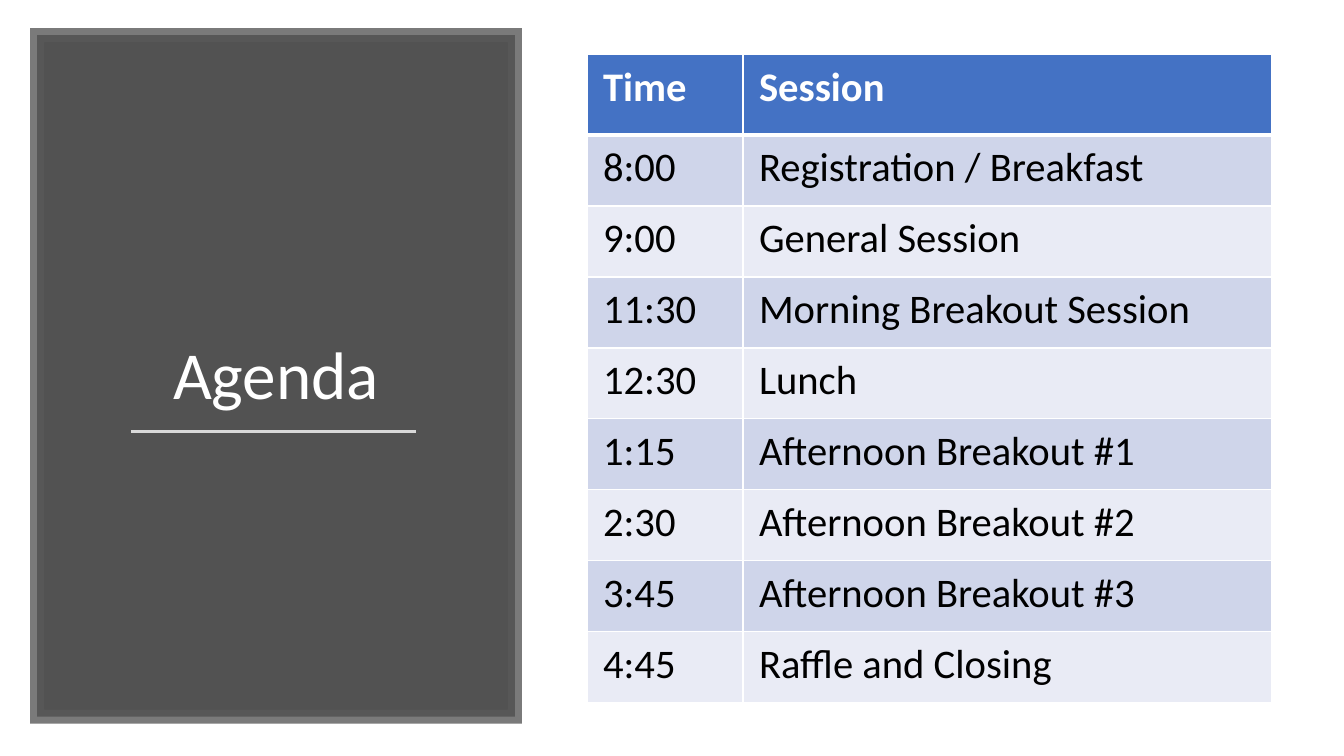
from lxml import etree
from pptx import Presentation
from pptx.dml.color import RGBColor
from pptx.enum.shapes import MSO_CONNECTOR, MSO_SHAPE
from pptx.enum.text import MSO_ANCHOR, MSO_AUTO_SIZE, PP_ALIGN
from pptx.oxml.ns import qn
from pptx.util import Pt

STRAIGHT = MSO_CONNECTOR.STRAIGHT
RECTANGLE = MSO_SHAPE.RECTANGLE
BOTTOM = MSO_ANCHOR.BOTTOM
NO_AUTOFIT = MSO_AUTO_SIZE.NONE
CENTER = PP_ALIGN.CENTER

TITLE_ONLY = 5
FONT = "Calibri"
WHITE = "FFFFFF"
HEADER_FILL = "4472C4"
BAND_FILLS = ("CFD5EA", "E9EBF5")
COLUMN_WIDTHS = (111.4, 377.4)
HEADER_HEIGHT = 57.4
ROW_HEIGHT = 50.7
AGENDA = [
    ("Time", "Session"),
    ("8:00", "Registration / Breakfast"),
    ("9:00", "General Session"),
    ("11:30", "Morning Breakout Session"),
    ("12:30", "Lunch"),
    ("1:15", "Afternoon Breakout #1"),
    ("2:30", "Afternoon Breakout #2"),
    ("3:45", "Afternoon Breakout #3"),
    ("4:45", "Raffle and Closing"),
]


def paint(color_format, color):
    color_format.rgb = RGBColor.from_string(color)


def fill_solid(fill, color):
    fill.solid()
    paint(fill.fore_color, color)


def set_opacity(properties, percent):
    color = properties.find(qn("a:solidFill")).find(qn("a:srgbClr"))
    etree.SubElement(color, qn("a:alpha")).set("val", str(percent * 1000))


def format_text(paragraph, size, color, bold=False):
    for span in paragraph.runs:
        span.font.name = FONT
        span.font.size = Pt(size)
        span.font.bold = bold
        paint(span.font.color, color)


def add_panel(page):
    panel = page.shapes.add_shape(RECTANGLE, Pt(26.6), Pt(25.2), Pt(341.3), Pt(486.7))
    panel.shadow.inherit = False
    fill_solid(panel.fill, "404040")
    set_opacity(panel._element.spPr, 90)
    panel.line.width = Pt(10)
    fill_solid(panel.line.fill, "595959")
    outline = panel._element.spPr.find(qn("a:ln"))
    set_opacity(outline, 80)
    etree.SubElement(outline, qn("a:miter")).set("lim", "800000")
    # Send the panel behind the title
    page.shapes._spTree.insert(2, panel._element)


def set_title(page, text):
    title = page.shapes.title
    title.left, title.top, title.width, title.height = Pt(53.3), Pt(72), Pt(288), Pt(227.5)
    frame = title.text_frame
    frame.text = text
    frame.word_wrap = True
    frame.auto_size = NO_AUTOFIT
    frame.vertical_anchor = BOTTOM
    para = frame.paragraphs[0]
    para.alignment = CENTER
    para.line_spacing = 0.9
    format_text(para, 48, WHITE)


def add_rule(page):
    rule = page.shapes.add_connector(STRAIGHT, Pt(93.6), Pt(308.2), Pt(297.4), Pt(308.2))
    rule.line.width = Pt(1.75)
    paint(rule.line.color, "D9D9D9")
    etree.SubElement(rule._element.spPr, qn("a:effectLst"))


def set_borders(cell, top, bottom):
    properties = cell._tc.get_or_add_tcPr()
    for side, width in (("L", 1), ("R", 1), ("T", top), ("B", bottom)):
        border = etree.SubElement(properties, qn("a:ln" + side))
        border.set("w", str(Pt(width)))
        fill = etree.SubElement(border, qn("a:solidFill"))
        etree.SubElement(fill, qn("a:srgbClr")).set("val", WHITE)


def format_cell(cell, text, row):
    header = row == 0
    cell.margin_left = cell.margin_right = Pt(11.5)
    cell.margin_top = cell.margin_bottom = Pt(5.75)
    # Borders precede the fill in the cell properties
    set_borders(cell, 3 if row == 1 else 1, 3 if header else 1)
    fill_solid(cell.fill, HEADER_FILL if header else BAND_FILLS[(row - 1) % 2])
    cell.text_frame.text = text
    format_text(cell.text_frame.paragraphs[0], 29, WHITE if header else "000000", header)


def add_agenda_table(page):
    heights = [HEADER_HEIGHT] + [ROW_HEIGHT] * (len(AGENDA) - 1)
    table = page.shapes.add_table(
        len(AGENDA), len(COLUMN_WIDTHS), Pt(419.3), Pt(39.1),
        Pt(sum(COLUMN_WIDTHS)), Pt(sum(heights))).table
    for column, width in zip(table.columns, COLUMN_WIDTHS):
        column.width = Pt(width)
    for row, (height, texts) in enumerate(zip(heights, AGENDA)):
        table.rows[row].height = Pt(height)
        for column, text in enumerate(texts):
            format_cell(table.cell(row, column), text, row)


def main():
    deck = Presentation()
    deck.slide_width, deck.slide_height = Pt(960), Pt(540)
    page = deck.slides.add_slide(deck.slide_layouts[TITLE_ONLY])
    fill_solid(page.background.fill, WHITE)

    # Left side: title panel
    add_panel(page)
    set_title(page, "Agenda")
    add_rule(page)

    # Right side: schedule
    add_agenda_table(page)
    deck.save("out.pptx")


main()
